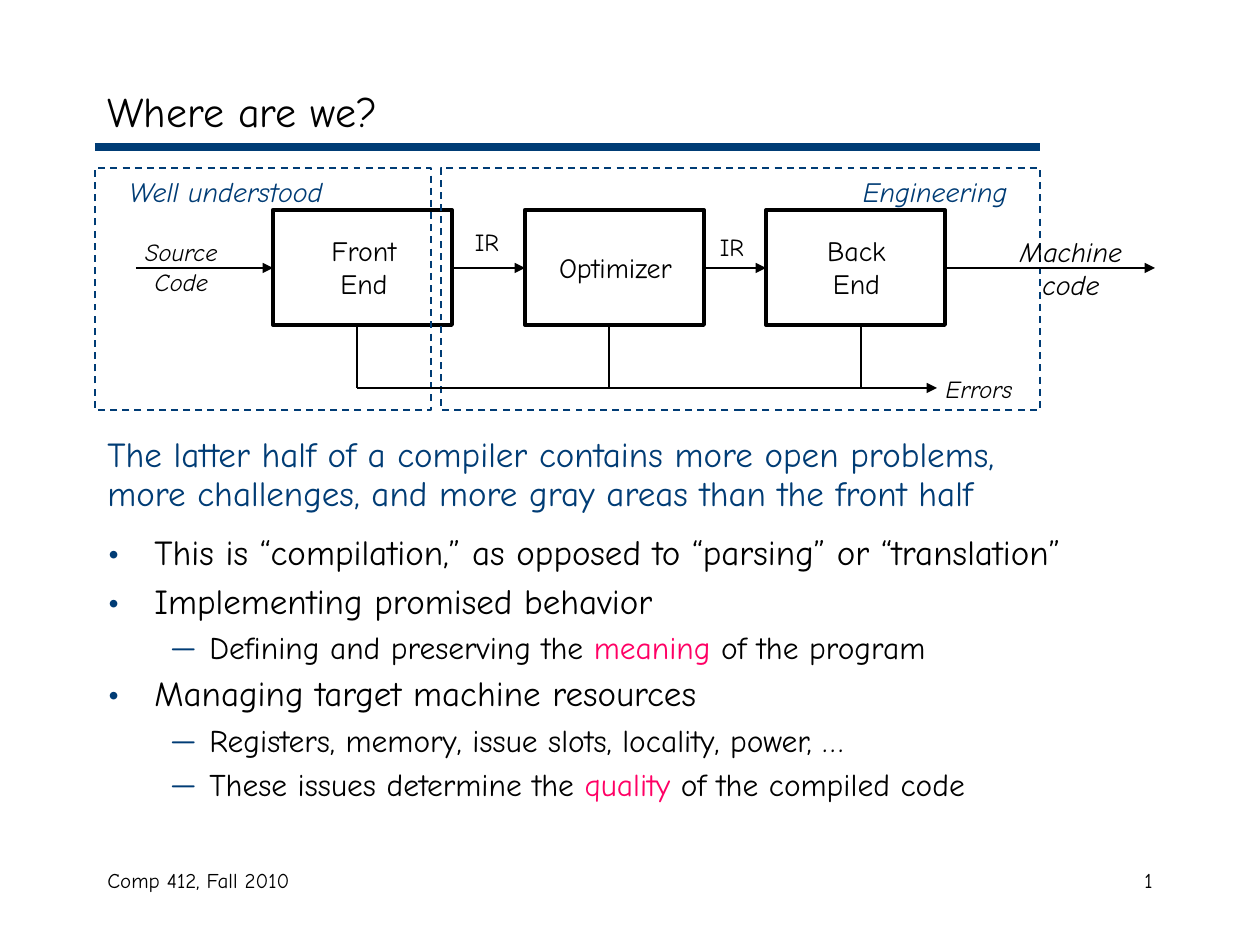
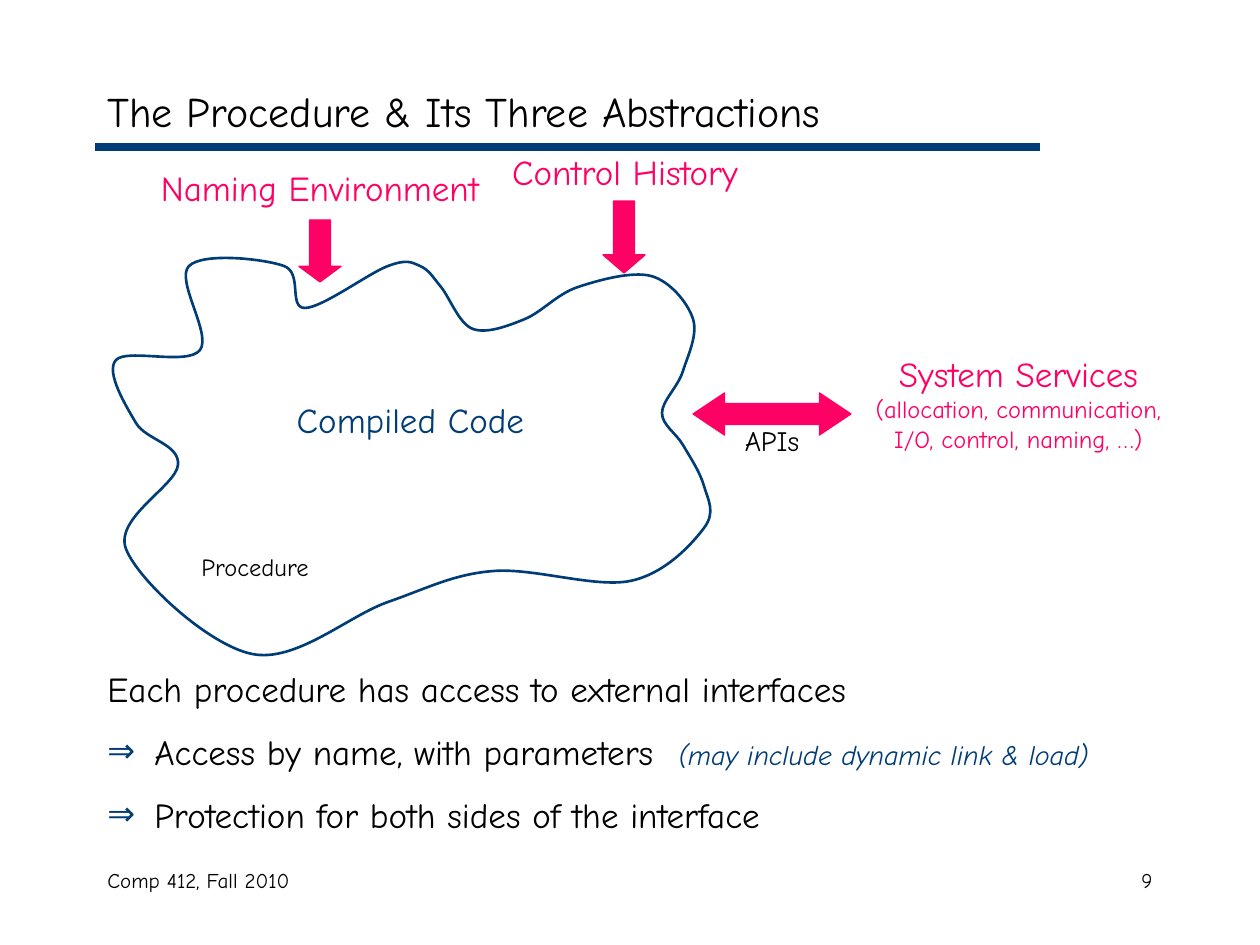
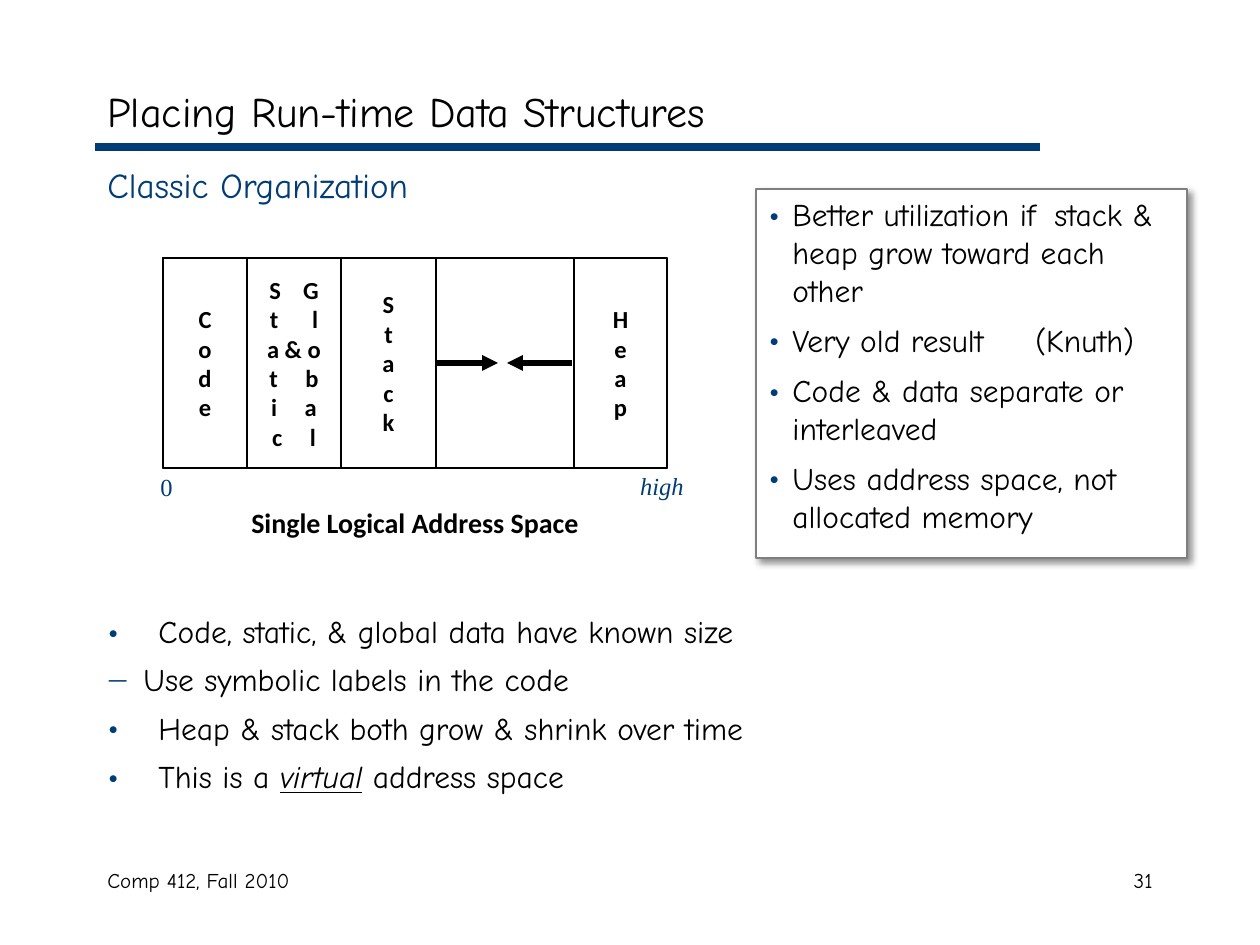
import pptx
import pptx.util
import pptx.dml.color
import pptx.enum.dml
import pptx.enum.shapes
import pptx.enum.text
import pptx.oxml
import pptx.oxml.ns
import lxml.etree

PX = 914400 / 126  # EMU in one px
COLOURS = {"ink": "000000", "navy": "003C75", "pink": "FF0065",
           "white": "FFFFFF", "grey": "7F7F7F"}
SHAPES = pptx.enum.shapes.MSO_SHAPE
ANCHORS = pptx.enum.text.MSO_ANCHOR
qn = pptx.oxml.ns.qn
rgb = {name: pptx.dml.color.RGBColor.from_string(code) for name, code in COLOURS.items()}


def place(page, left, top, width, height, kind=None, fill=None, line="ink", weight=0.75, wrap=True):
    """Add a text box, or a preset shape when kind is given."""
    area = [int(value * PX) for value in (left, top, width, height)]
    if kind is None:
        box = page.shapes.add_textbox(*area)
    else:
        box = page.shapes.add_shape(kind, *area)
        box.shadow.inherit = False
        box.line.color.rgb = rgb[line]
        box.line.width = pptx.util.Pt(weight)
        if fill:
            box.fill.solid()
            box.fill.fore_color.rgb = rgb[fill]
        else:
            box.fill.background()
    box.text_frame.word_wrap = wrap
    return box


def write(box, text, size=20, colour="ink", font="Comic Neue", align="LEFT", bold=False,
          italic=False, bullet=None, bullet_size=100, margin=0, hang=0, before=0,
          spacing=None, tab=None, accent=None):
    """Add one paragraph per line of text; parts between asterisks take the accent format."""
    frame = box.text_frame
    for line in text.split("\n"):
        first = not frame.text
        para = frame.paragraphs[0] if first else frame.add_paragraph()
        props = para._p.get_or_add_pPr()
        props.set("marL", str(int(margin * PX)))
        props.set("indent", str(int(-hang * PX)))
        if bullet:
            color = lxml.etree.SubElement(props, qn("a:buClr"))
            lxml.etree.SubElement(color, qn("a:srgbClr"), val=COLOURS["navy"])
            lxml.etree.SubElement(props, qn("a:buSzPct"), val=str(bullet_size * 1000))
            lxml.etree.SubElement(props, qn("a:buFont"), typeface=font)
            lxml.etree.SubElement(props, qn("a:buChar"), char=bullet)
        if tab:
            tabs = lxml.etree.SubElement(props, qn("a:tabLst"))
            lxml.etree.SubElement(tabs, qn("a:tab"), pos=str(int(tab * PX)), algn="l")
        para.alignment = getattr(pptx.enum.text.PP_ALIGN, align)
        if spacing:
            para.line_spacing = spacing
        if before and not first:
            para.space_before = pptx.util.Pt(before)
        for index, part in enumerate(line.split("*")):
            if not part:
                continue
            look = {"size": size, "colour": colour, "italic": italic, "underline": False,
                    "tracking": 0}
            if index % 2:
                look.update(accent)
            span = para.add_run()
            span.text = part
            span.font.name = font
            span.font.size = pptx.util.Pt(look["size"])
            span.font.color.rgb = rgb[look["colour"]]
            span.font.bold = bold
            span.font.italic = look["italic"]
            span.font.underline = look["underline"]
            if look["tracking"]:
                span._r.get_or_add_rPr().set("spc", str(int(look["tracking"] * 100)))


deck = pptx.Presentation()
deck.slide_width = int(1260 * PX)
deck.slide_height = int(945 * PX)

# Shared title, rule and footer
pages = []
lines = []  # page, x1, y1, x2, y2, colour, weight, arrow
for title, number in [("Where are we?", "1"),
                      ("The Procedure & Its Three Abstractions", "9"),
                      ("Placing Run-time Data Structures", "31")]:
    page = deck.slides.add_slide(deck.slide_layouts[6])
    pages.append(page)
    lines.append((page, 95, 147, 1040, 147, "navy", 4.5, False))
    box = place(page, 95, 74, 1071, 73)
    box.text_frame.vertical_anchor = ANCHORS.MIDDLE
    write(box, title, size=24)
    write(place(page, 95, 861, 400, 63), "Comp 412, Fall 2010", size=12)
    write(place(page, 903, 861, 262, 63), number, size=12, align="RIGHT")
compiler, procedure, memory = pages

# Compiler: body text
box = place(compiler, 95, 431, 1071, 451)
topic = dict(bullet="•", bullet_size=120, margin=47, hang=47, spacing=0.9)
detail = dict(size=18, bullet="—", margin=102, hang=39, before=6, spacing=0.9,
              accent={"colour": "pink"})
write(box, "The latter half of a compiler contains more open problems,\n"
           "more challenges, and more gray areas than the front half",
      colour="navy", margin=47, hang=47, before=1, spacing=0.9)
write(box, "This is “compilation,” as opposed to “parsing” or “translation”", before=12, **topic)
write(box, "Implementing promised behavior", before=6, **topic)
write(box, "Defining and preserving the *meaning* of the program", **detail)
write(box, "Managing target machine resources", before=6, **topic)
write(box, "Registers, memory, issue slots, locality, power, …\n"
           "These issues determine the *quality* of the compiled code", **detail)

# Compiler: stages
for left in (273, 525, 766):
    place(compiler, left, 210, 179, 115, SHAPES.RECTANGLE, weight=2.25)

# Compiler: zones
for left, width in ((95, 336), (441, 599)):
    zone = place(compiler, left, 168, width, 242, SHAPES.RECTANGLE, line="navy", weight=1)
    zone.line.dash_style = pptx.enum.dml.MSO_LINE.DASH

# Compiler: labels
for left, top, width, height, text, size, colour, italic in [
        (314, 227, 100, 81, "Front\nEnd", 16, "ink", False),
        (536, 244, 159, 47, "Optimizer", 16, "ink", False),
        (813, 227, 87, 81, "Back\nEnd", 16, "ink", False),
        (460, 221, 54, 43, "IR", 14, "ink", False),
        (705, 226, 54, 43, "IR", 14, "ink", False),
        (124, 231, 115, 72, "Source\nCode", 14, "ink", True),
        (987, 228, 168, 81, "Machine\ncode", 16, "ink", True),
        (925, 368, 108, 42, "Errors", 14, "ink", True),
        (95, 168, 262, 47, "Well understood", 16, "navy", True),
        (830, 168, 210, 47, "Engineering", 16, "navy", True)]:
    write(place(compiler, left, top, width, height, wrap=False), text, size=size,
          colour=colour, italic=italic, align="CENTER")

# Compiler: flow and error lines
for x1, x2, weight in ((136, 273, 1.5), (452, 525, 0.75), (704, 766, 0.75), (945, 1155, 1.5)):
    lines.append((compiler, x1, 268, x2, 268, "ink", weight, True))
for x in (357, 609, 861):
    lines.append((compiler, x, 325, x, 388, "ink", 1.5, False))
lines.append((compiler, 357, 388, 937, 388, "ink", 1.5, True))

# Procedure: body text
box = place(procedure, 95, 661, 1071, 200)
write(box, "Each procedure has access to external interfaces")
write(box, "Access by name, with parameters\t*(may include dynamic link & load)*\n"
           "Protection for both sides of the interface",
      bullet="⇒", bullet_size=95, margin=47, hang=47, before=12, tab=571,
      accent={"size": 16, "colour": "navy", "italic": True})

# Procedure: closed smooth outline, each handle a sixth of the way between the neighbours
anchors = [(136, 423), (116, 360), (200, 350), (189, 266), (284, 266), (305, 308), (388, 266),
           (420, 266), (441, 287), (473, 329), (525, 319), (578, 287), (651, 276), (693, 319),
           (683, 371), (662, 413), (683, 445), (704, 486), (704, 528), (630, 581), (494, 571),
           (388, 602), (252, 654), (126, 549), (178, 465)]
points = []
for index in range(len(anchors)):
    knots = [anchors[(index + shift) % len(anchors)] for shift in (-1, 0, 1, 2)]
    points.append([b + (c - a) / 6 for a, b, c, d in zip(*knots)])
    points.append([c - (d - b) / 6 for a, b, c, d in zip(*knots)])
    points.append(knots[2])
builder = procedure.shapes.build_freeform(*anchors[0], scale=PX)
builder.add_line_segments(points, close=True)
outline = builder.convert_to_shape()
segments = list(outline._element.iter(qn("a:lnTo")))
for start in range(0, len(segments), 3):
    curve = lxml.etree.Element(qn("a:cubicBezTo"))
    segments[start].addprevious(curve)
    for segment in segments[start:start + 3]:
        curve.append(segment[0])
        segment.getparent().remove(segment)
outline.shadow.inherit = False
outline.fill.background()
outline.line.color.rgb = rgb["navy"]
outline.line.width = pptx.util.Pt(1.5)

# Procedure: block arrows
for kind, left, top, width, height, head in [
        (SHAPES.DOWN_ARROW, 299, 220, 42, 62, 0.37),
        (SHAPES.DOWN_ARROW, 603, 201, 42, 72, 0.43),
        (SHAPES.LEFT_RIGHT_ARROW, 693, 393, 158, 42, 0.75)]:
    arrow = place(procedure, left, top, width, height, kind, fill="pink", line="pink")
    arrow.adjustments[0] = 0.5
    arrow.adjustments[1] = head

# Procedure: labels
for left, top, width, text, size, colour in [
        (115, 160, 410, "Naming Environment", 20, "pink"),
        (420, 144, 410, "Control History", 20, "pink"),
        (709, 417, 126, "APIs", 16, "ink"),
        (274, 392, 273, "Compiled Code", 20, "navy"),
        (150, 546, 210, "Procedure", 14, "ink")]:
    write(place(procedure, left, top, width, 54), text, size=size, colour=colour, align="CENTER")
box = place(procedure, 840, 346, 357, 113)
write(box, "System Services", colour="pink", align="CENTER")
write(box, "(allocation, communication, I/O, control, naming, …)", size=14, colour="pink",
      align="CENTER")

# Memory: heading and list
write(place(memory, 95, 157, 600, 60), "Classic Organization", colour="navy")
box = place(memory, 95, 606, 735, 204)
fact = dict(size=18, bullet="•", bullet_size=120, margin=51, hang=51, before=6)
write(box, "Code, static, & global data have known size", **fact)
write(box, "Use symbolic labels in the code", size=18, bullet="—", bullet_size=80,
      margin=36, hang=36, before=6)
write(box, "Heap & stack both grow & shrink over time\nThis is a *virtual* address space",
      accent={"italic": True, "underline": True}, **fact)

# Memory: panel with shadow
panel = place(memory, 756, 189, 431, 369, SHAPES.RECTANGLE, fill="white", line="grey")
panel.text_frame.vertical_anchor = ANCHORS.TOP
for text, tab in [("Better utilization if\tstack & heap grow toward each other", 286),
                  ("Very old result\t(Knuth)", 267),
                  ("Code & data separate or interleaved", None),
                  ("Uses address space, not allocated memory", None)]:
    write(panel, text, size=18, bullet="•", bullet_size=120, margin=24, hang=24, before=7, tab=tab)
effects = panel._element.spPr.find(qn("a:effectLst"))
shadow = lxml.etree.SubElement(effects, qn("a:outerShdw"), blurRad="50800", dist="38100",
                               dir="2700000", algn="tl", rotWithShape="0")
tint = lxml.etree.SubElement(shadow, qn("a:srgbClr"), val=COLOURS["ink"])
lxml.etree.SubElement(tint, qn("a:alpha"), val="43000")

# Memory: address space
place(memory, 163, 258, 504, 210, SHAPES.RECTANGLE, weight=1)
for left, width, text in [(163, 84, "C\no\nd\ne"), (341, 95, "S\nt\na\nc\nk"),
                          (574, 93, "H\ne\na\np")]:
    region = place(memory, left, 258, width, 210, SHAPES.RECTANGLE, wrap=False)
    write(region, text, size=14, font="Calibri", bold=True, align="CENTER")

# Memory: two words side by side, set apart by widened spaces
region = place(memory, 247, 258, 94, 210, SHAPES.RECTANGLE, wrap=False)
for row, tracking in [("S* *G", 9.5), ("t* *l", 16), ("a & o", 0), ("t* *b", 12.5),
                      ("i* *a", 12.5), ("c* *l", 12.5)]:
    write(region, row, size=14, font="Calibri", bold=True, align="CENTER",
          accent={"tracking": tracking})

# Memory: captions
for left, top, width, text, size, font, colour, bold, italic in [
        (197, 499, 436, "Single Logical Address Space", 16, "Calibri", "ink", True, False),
        (135, 466, 63, "0", 14, "Times New Roman", "navy", False, False),
        (620, 465, 84, "high", 14, "Times New Roman", "navy", False, True)]:
    write(place(memory, left, top, width, 44), text, size=size, font=font, colour=colour,
          bold=bold, italic=italic, align="CENTER")
lines.append((memory, 437, 363, 498, 363, "ink", 3, True))
lines.append((memory, 572, 363, 507, 363, "ink", 3, True))

# Lines and arrows of all pages
for page, x1, y1, x2, y2, colour, weight, arrow in lines:
    ends = [int(value * PX) for value in (x1, y1, x2, y2)]
    connector = page.shapes.add_connector(pptx.enum.shapes.MSO_CONNECTOR.STRAIGHT, *ends)
    connector.line.color.rgb = rgb[colour]
    connector.line.width = pptx.util.Pt(weight)
    if arrow:
        lxml.etree.SubElement(connector.line._get_or_add_ln(), qn("a:tailEnd"), type="triangle")
    lxml.etree.SubElement(connector._element.spPr, qn("a:effectLst"))

deck.save("out.pptx")
